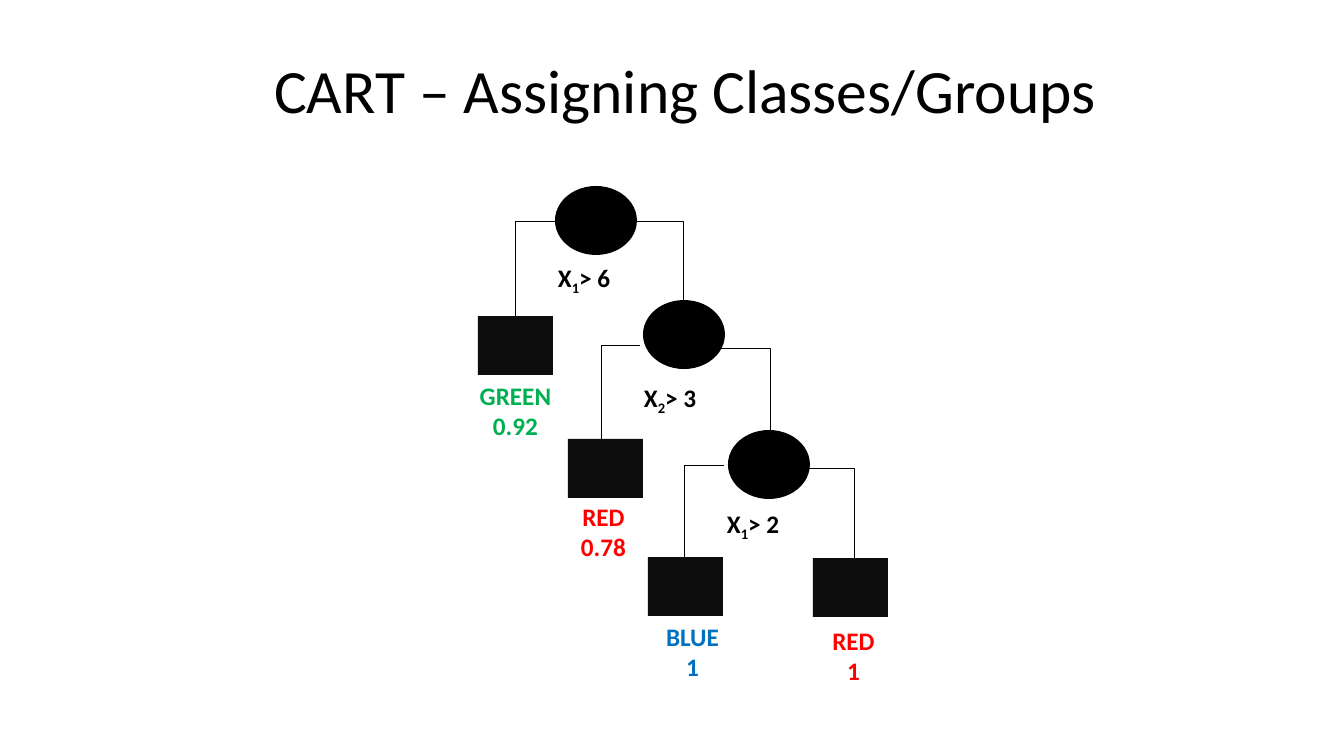
from lxml.etree import SubElement
from pptx import Presentation
from pptx.dml.color import RGBColor
from pptx.enum.shapes import MSO_CONNECTOR, MSO_SHAPE
from pptx.enum.text import MSO_ANCHOR, PP_ALIGN
from pptx.oxml.ns import qn
from pptx.util import Pt

SCALE = 914400 / 100.8
FONT = "Calibri"
COLORS = {
    "ink": "000000",
    "leaf": "0D0D0D",
    "green": "00B050",
    "red": "FF0000",
    "blue": "0070C0",
}
NODE_SIZE = (82, 69)
LEAF_SIZE = (75, 59)
CLASS_SIZE = (125, 94)
RULE_SIZE = (126, 53)

NODES = [(555, 186), (643, 300), (728, 430)]
LEAVES = [(478, 316), (568, 439), (648, 557), (813, 558)]
BRANCHES = [
    (555, 221, 515, 316),
    (637, 221, 683, 318),
    (640, 345, 601, 439),
    (683, 348, 770, 438),
    (724, 465, 684, 560),
    (767, 468, 854, 558),
]
RULES = [(548, 257, "1", "> 6"), (634, 377, "2", "> 3"), (717, 503, "1", "> 2")]
CLASSES = [
    (453, 375, "GREEN", "0.92", "green"),
    (541, 496, "RED", "0.78", "red"),
    (630, 616, "BLUE", "1", "blue"),
    (791, 620, "RED", "1", "red"),
]


def px(*lengths):
    """Turn pixel lengths into EMU."""
    return [round(length * SCALE) for length in lengths]


def color(name):
    """Return the named colour."""
    return RGBColor.from_string(COLORS[name])


def style(run, size, ink="ink", bold=False):
    """Format one run of text."""
    run.font.name = FONT
    run.font.size = Pt(size)
    run.font.bold = bold
    run.font.color.rgb = color(ink)


def add_text(slide, at, size):
    """Add an empty wrapping text frame."""
    frame = slide.shapes.add_textbox(*px(*at, *size)).text_frame
    frame.word_wrap = True
    return frame


def add_title(slide, text):
    """Add the centred slide title."""
    frame = add_text(slide, (106, 21), (1159, 146))
    frame.vertical_anchor = MSO_ANCHOR.MIDDLE
    frame.text = text
    heading = frame.paragraphs[0]
    heading.alignment = PP_ALIGN.CENTER
    heading.line_spacing = 0.9
    style(heading.runs[0], 44)


def add_branch(slide, ends):
    """Add a branch that runs sideways from a node and then down."""
    branch = slide.shapes.add_connector(MSO_CONNECTOR.ELBOW, *px(*ends))
    branch.line.color.rgb = color("ink")
    branch.line.width = Pt(0.5)
    properties = branch._element.spPr
    properties.find(qn("a:prstGeom")).set("prst", "bentConnector2")
    SubElement(properties, qn("a:effectLst"))


def add_mark(slide, kind, at, size, fill):
    """Add a solid node or leaf."""
    mark = slide.shapes.add_shape(kind, *px(*at, *size))
    mark.shadow.inherit = False
    mark.fill.solid()
    mark.fill.fore_color.rgb = color(fill)
    mark.line.fill.background()


def add_rule(slide, left, top, index, condition):
    """Add a split rule with a subscripted variable."""
    rule = add_text(slide, (left, top), RULE_SIZE).paragraphs[0]
    for part in ("X", index, condition):
        run = rule.add_run()
        run.text = part
        style(run, 18, bold=True)
    rule.runs[1]._r.get_or_add_rPr().set("baseline", "-25000")


def add_class(slide, left, top, group, share, ink):
    """Add the class name of a leaf above its share."""
    frame = add_text(slide, (left, top), CLASS_SIZE)
    frame.text = f"{group}\n{share}"
    for row in frame.paragraphs:
        row.alignment = PP_ALIGN.CENTER
        style(row.runs[0], 18, ink, bold=True)


def main():
    """Build the decision tree slide."""
    deck = Presentation()
    deck.slide_width, deck.slide_height = px(1344, 756)
    slide = deck.slides.add_slide(deck.slide_layouts[6])
    add_title(slide, "CART – Assigning Classes/Groups")
    for ends in BRANCHES:
        add_branch(slide, ends)
    for at in NODES:
        add_mark(slide, MSO_SHAPE.OVAL, at, NODE_SIZE, "ink")
    for at in LEAVES:
        add_mark(slide, MSO_SHAPE.RECTANGLE, at, LEAF_SIZE, "leaf")
    for rule in RULES:
        add_rule(slide, *rule)
    for group in CLASSES:
        add_class(slide, *group)
    deck.save("out.pptx")


main()
